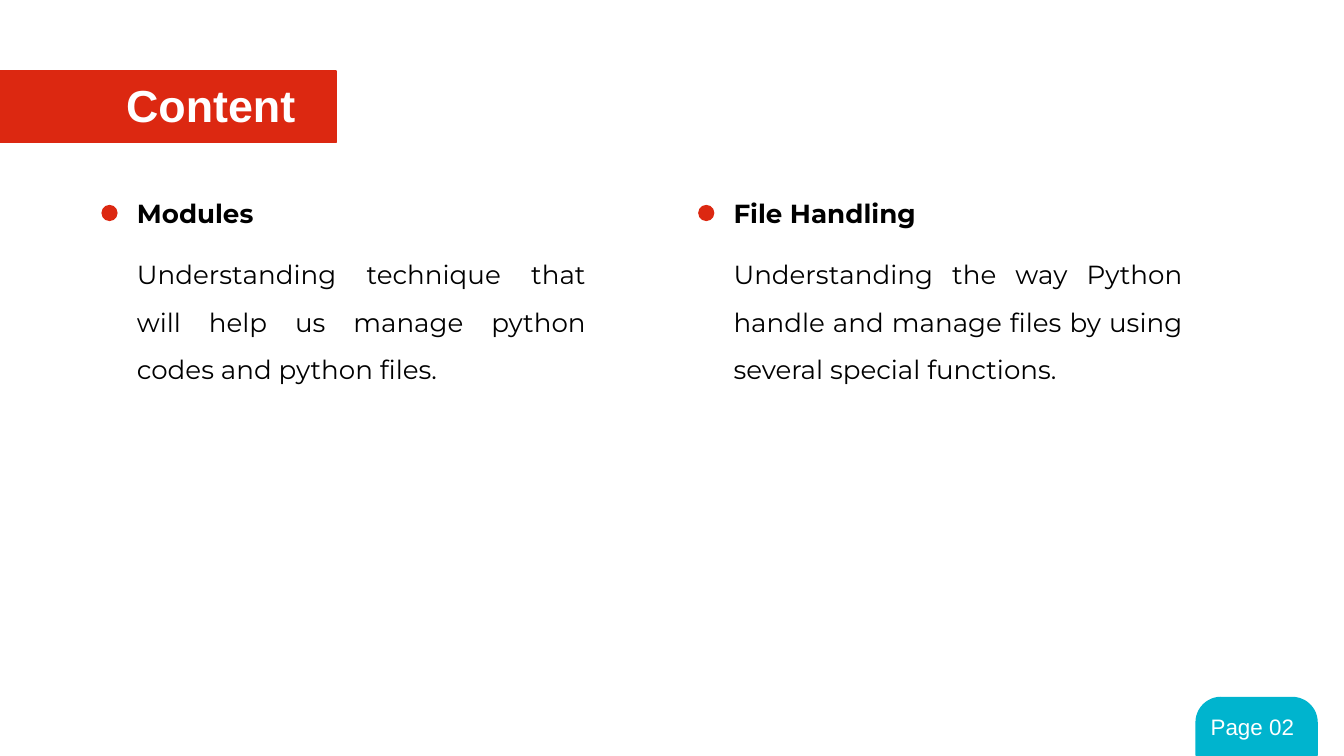
from pptx import Presentation
from pptx import util as u
from pptx.dml.color import RGBColor
from pptx.enum import shapes, text

RED = RGBColor(0xDC, 0x28, 0x11)
TEAL = RGBColor(0x00, 0xB4, 0xCE)
WHITE = RGBColor(0xFF, 0xFF, 0xFF)
BLACK = RGBColor(0, 0, 0)
KIND = shapes.MSO_SHAPE

# Wide 16:9 page
deck = Presentation()
deck.slide_width = u.Inches(10)
deck.slide_height = u.Inches(10 * 9 / 16)
slide = deck.slides.add_slide(deck.slide_layouts[6])


def block(kind, box, color):
    shape = slide.shapes.add_shape(kind, *map(u.Inches, box))
    shape.shadow.inherit = False
    shape.fill.solid()
    shape.fill.fore_color.rgb = color
    shape.line.color.rgb = color
    shape.line.width = u.Pt(0.75)
    return shape


def label(words, box, color, font, para=None):
    frame = slide.shapes.add_textbox(*map(u.Inches, box)).text_frame
    frame.word_wrap = True
    frame.auto_size = text.MSO_AUTO_SIZE.SHAPE_TO_FIT_TEXT
    for side in ("left", "top", "right", "bottom"):
        setattr(frame, "margin_" + side, u.Inches(0.1))
    line = frame.paragraphs[0]
    for name, value in (para or {}).items():
        setattr(line, name, value)
    run = line.add_run()
    run.text = words
    run.font.color.rgb = color
    for name, value in font.items():
        setattr(run.font, name, value)


# Title banner
block(KIND.RECTANGLE, (-0.03, 0.53, 2.53, 0.53), RED)
label("Content", (0.84, 0.48, 1.7, 0.61), WHITE,
      {"name": "Arial", "size": u.Pt(24), "bold": True})

# Page tab
tab = block(KIND.ROUND_2_SAME_RECTANGLE, (8.9, 5.19, 0.9, 0.43), TEAL)
tab.adjustments[0] = 0.43
label("Page 02", (8.91, 5.21, 1.06, 0.4), WHITE,
      {"name": "Arial", "size": u.Pt(12)})

# Two topic columns: bullet, heading, description
body = {"name": "Montserrat", "size": u.Pt(14)}
head = {**body, "bold": True}
para = {"alignment": text.PP_ALIGN.JUSTIFY, "line_spacing": 1.5}
topics = [
    ("Modules", 1.42, "Understanding technique that will help us manage "
                      "python codes and python files."),
    ("File Handling", 1.57, "Understanding the way Python handle and manage "
                            "files by using several special functions."),
]
for col, (name, width, about) in enumerate(topics):
    left = 0.92 + 4.44 * col
    block(KIND.OVAL, (left - 0.16, 1.53, 0.11, 0.11), RED)
    label(name, (left, 1.37, width, 0.44), BLACK, head)
    label(about, (left, 1.71, 3.54, 1.14), BLACK, body, para)

deck.save("out.pptx")
